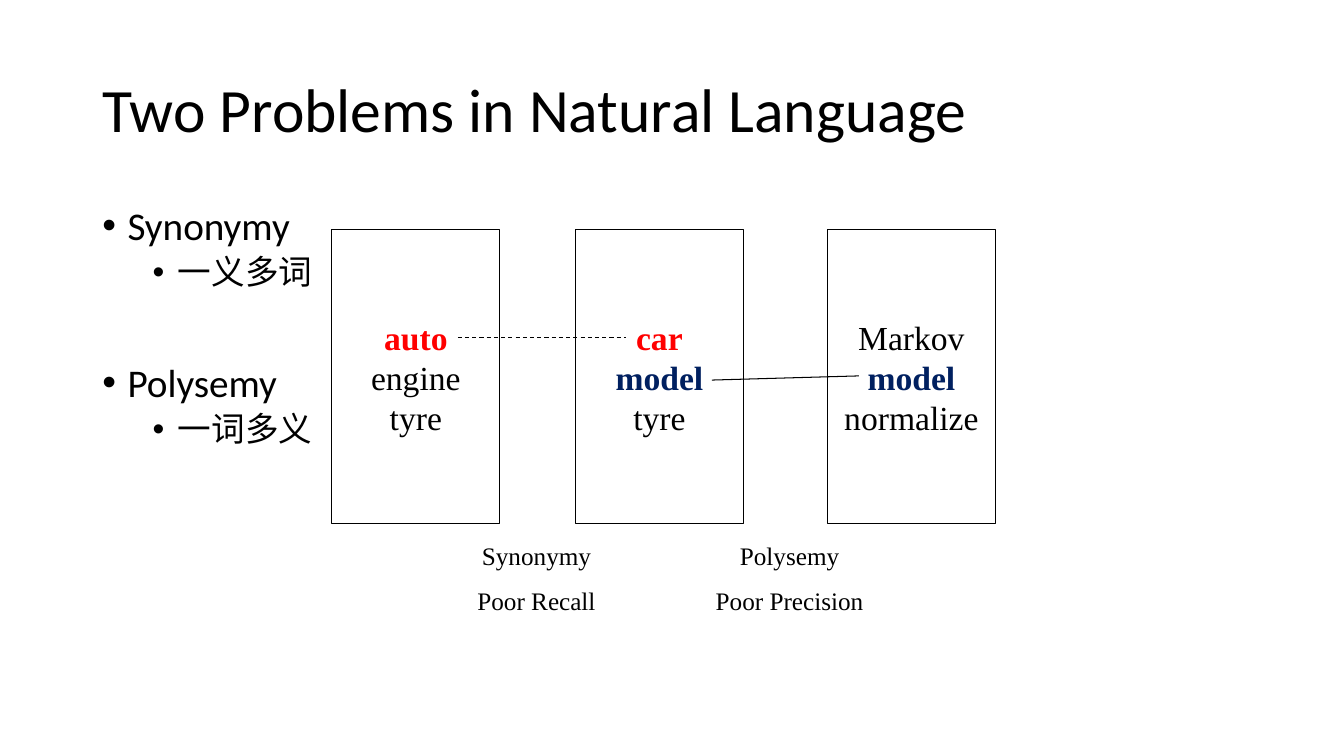
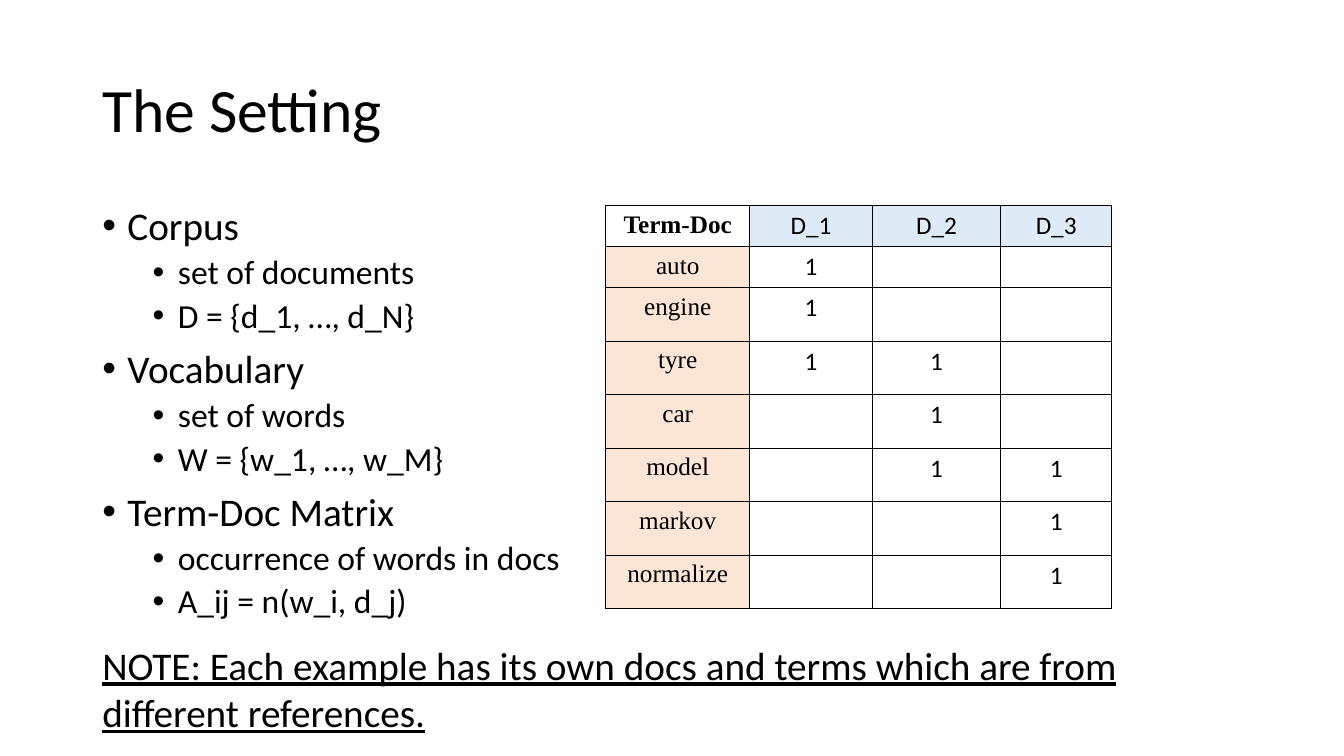
import pptx
import pptx.util
import pptx.dml.color
import pptx.enum.dml
import pptx.enum.shapes
import pptx.enum.text
import lxml.etree

PX = 9525
Pt = pptx.util.Pt
ALIGN = pptx.enum.text.PP_ALIGN
ANCHOR = pptx.enum.text.MSO_ANCHOR
A = "http://schemas.openxmlformats.org/drawingml/2006/main"

COLORS = {
    "black": "000000",
    "red": "FF0000",
    "navy": "002060",
    "header": "DEEBF7",
    "term": "FBE5D6",
}
SANS = {"name": "Calibri", "color": "black"}
SERIF = {"name": "Times New Roman", "color": "black", "alignment": ALIGN.CENTER}
TITLE = {**SANS, "size": Pt(44), "line_spacing": 0.9, "alignment": ALIGN.LEFT}
BULLETS = [
    {**SANS, "size": Pt(28), "line_spacing": 0.9, "space_before": Pt(10)},
    {**SANS, "size": Pt(24), "line_spacing": 0.9, "space_before": Pt(5)},
]
WORD = {**SERIF, "size": Pt(24)}
CAPTION = {**SERIF, "size": Pt(18), "space_before": Pt(10)}
TERM = {**SERIF, "size": Pt(18)}
COUNT = {**SANS, "size": Pt(18), "alignment": ALIGN.CENTER}
NOTE = {**SANS, "size": Pt(28), "underline": True}
PARAGRAPH_KEYS = ("alignment", "line_spacing", "space_before")


def rgb(name):
    return pptx.dml.color.RGBColor.from_string(COLORS[name])


def write(tf, lines):
    for i, (text, style) in enumerate(lines):
        p = tf.add_paragraph() if i else tf.paragraphs[0]
        r = p.add_run()
        r.text = text
        for key, value in style.items():
            if key == "color":
                r.font.color.rgb = rgb(value)
            else:
                setattr(p if key in PARAGRAPH_KEYS else r.font, key, value)


prs = pptx.Presentation()
prs.slide_width, prs.slide_height = 1280 * PX, 720 * PX

pages = [
    ("Two Problems in Natural Language", 224, [
        (0, "Synonymy", {}),
        (1, "一义多词", {}),
        (0, "Polysemy", {"space_before": Pt(51)}),
        (1, "一词多义", {}),
    ]),
    ("The Setting", 1104, [
        (0, "Corpus", {}),
        (1, "set of documents", {}),
        (1, "D = {d_1, …, d_N}", {}),
        (0, "Vocabulary", {}),
        (1, "set of words", {}),
        (1, "W = {w_1, …, w_M}", {}),
        (0, "Term-Doc Matrix", {}),
        (1, "occurrence of words in docs", {}),
        (1, "A_ij = n(w_i, d_j)", {}),
    ]),
]
for title, width, bullets in pages:
    s = prs.slides.add_slide(prs.slide_layouts[5])
    sp = s.shapes.title
    sp.left, sp.top, sp.width, sp.height = 88 * PX, 38 * PX, 1104 * PX, 139 * PX
    tf = sp.text_frame
    tf.auto_size = pptx.enum.text.MSO_AUTO_SIZE.NONE
    tf.vertical_anchor = ANCHOR.MIDDLE
    write(tf, [(title, TITLE)])

    tf = s.shapes.add_textbox(88 * PX, 192 * PX, width * PX, 457 * PX).text_frame
    tf.word_wrap = True
    write(tf, [(text, {**BULLETS[level], **extra}) for level, text, extra in bullets])
    for p, (level, text, extra) in zip(tf.paragraphs, bullets):
        p.level = level
        pPr = p._p.get_or_add_pPr()
        pPr.set("marL", str((24 + 48 * level) * PX))
        pPr.set("indent", str(-24 * PX))
        lxml.etree.SubElement(pPr, f"{{{A}}}buFont", typeface="Arial")
        lxml.etree.SubElement(pPr, f"{{{A}}}buChar", char="•")

problems, setting = prs.slides

RED = {**WORD, "color": "red", "bold": True}
NAVY = {**WORD, "color": "navy", "bold": True}
documents = [
    (316, [("auto", RED), ("engine", WORD), ("tyre", WORD)]),
    (548, [("car", RED), ("model", NAVY), ("tyre", WORD)]),
    (788, [("Markov", WORD), ("model", NAVY), ("normalize", WORD)]),
]
for x, words in documents:
    sp = problems.shapes.add_shape(
        pptx.enum.shapes.MSO_SHAPE.RECTANGLE, x * PX, 219 * PX, 160 * PX, 280 * PX)
    sp.shadow.inherit = False
    sp.fill.background()
    sp.line.color.rgb = rgb("black")
    sp.line.width = Pt(0.75)
    tf = sp.text_frame
    tf.word_wrap = False
    tf.vertical_anchor = ANCHOR.MIDDLE
    write(tf, words)

links = [
    (436, 321, 596, 321, pptx.enum.dml.MSO_LINE.DASH),
    (818, 358, 678, 362, pptx.enum.dml.MSO_LINE.SOLID),
]
for x1, y1, x2, y2, dash in links:
    ln = problems.shapes.add_connector(
        pptx.enum.shapes.MSO_CONNECTOR.STRAIGHT, x1 * PX, y1 * PX, x2 * PX, y2 * PX)
    ln.line.color.rgb = rgb("black")
    ln.line.width = Pt(0.75)
    ln.line.dash_style = dash
    lxml.etree.SubElement(ln._element.spPr, f"{{{A}}}effectLst")

captions = [
    (391, 240, ["Synonymy", "Poor Recall"]),
    (612, 280, ["Polysemy", "Poor Precision"]),
]
for x, width, lines in captions:
    tf = problems.shapes.add_textbox(x * PX, 515 * PX, width * PX, 73 * PX).text_frame
    tf.word_wrap = True
    tf.margin_top = tf.margin_bottom = 0
    write(tf, [(text, CAPTION) for text in lines])

rows = [
    ("Term-Doc", "D_1", "D_2", "D_3"),
    ("auto", "1", "", ""),
    ("engine", "1", "", ""),
    ("tyre", "1", "1", ""),
    ("car", "", "1", ""),
    ("model", "", "1", "1"),
    ("markov", "", "", "1"),
    ("normalize", "", "", "1"),
]
widths = [137, 117, 122, 106]
heights = [39] * 2 + [51] * 6
tbl = setting.shapes.add_table(
    len(rows), len(widths), 577 * PX, 196 * PX, sum(widths) * PX, sum(heights) * PX).table
tbl.first_row = tbl.horz_banding = False
for col, width in zip(tbl.columns, widths):
    col.width = width * PX
for row, height in zip(tbl.rows, heights):
    row.height = height * PX
for i, values in enumerate(rows):
    for j, value in enumerate(values):
        cell = tbl.cell(i, j)
        if (i == 0) == (j == 0):
            cell.fill.background()
        else:
            cell.fill.solid()
            cell.fill.fore_color.rgb = rgb("header" if i == 0 else "term")
        if i and j:
            cell.fill.background()
        if value:
            style = COUNT if j else {**TERM, "bold": i == 0}
            write(cell.text_frame, [(value, style)])
        tcPr = cell._tc.get_or_add_tcPr()
        for k, side in enumerate(("lnL", "lnR", "lnT", "lnB")):
            ln = lxml.etree.Element(f"{{{A}}}{side}", w=str(Pt(1)))
            fill = lxml.etree.SubElement(ln, f"{{{A}}}solidFill")
            lxml.etree.SubElement(fill, f"{{{A}}}srgbClr", val=COLORS["black"])
            tcPr.insert(k, ln)

tf = setting.shapes.add_textbox(88 * PX, 606 * PX, 1104 * PX, 100 * PX).text_frame
tf.word_wrap = True
write(tf, [("NOTE: Each example has its own docs and terms which are from different references.", NOTE)])

prs.save("out.pptx")
